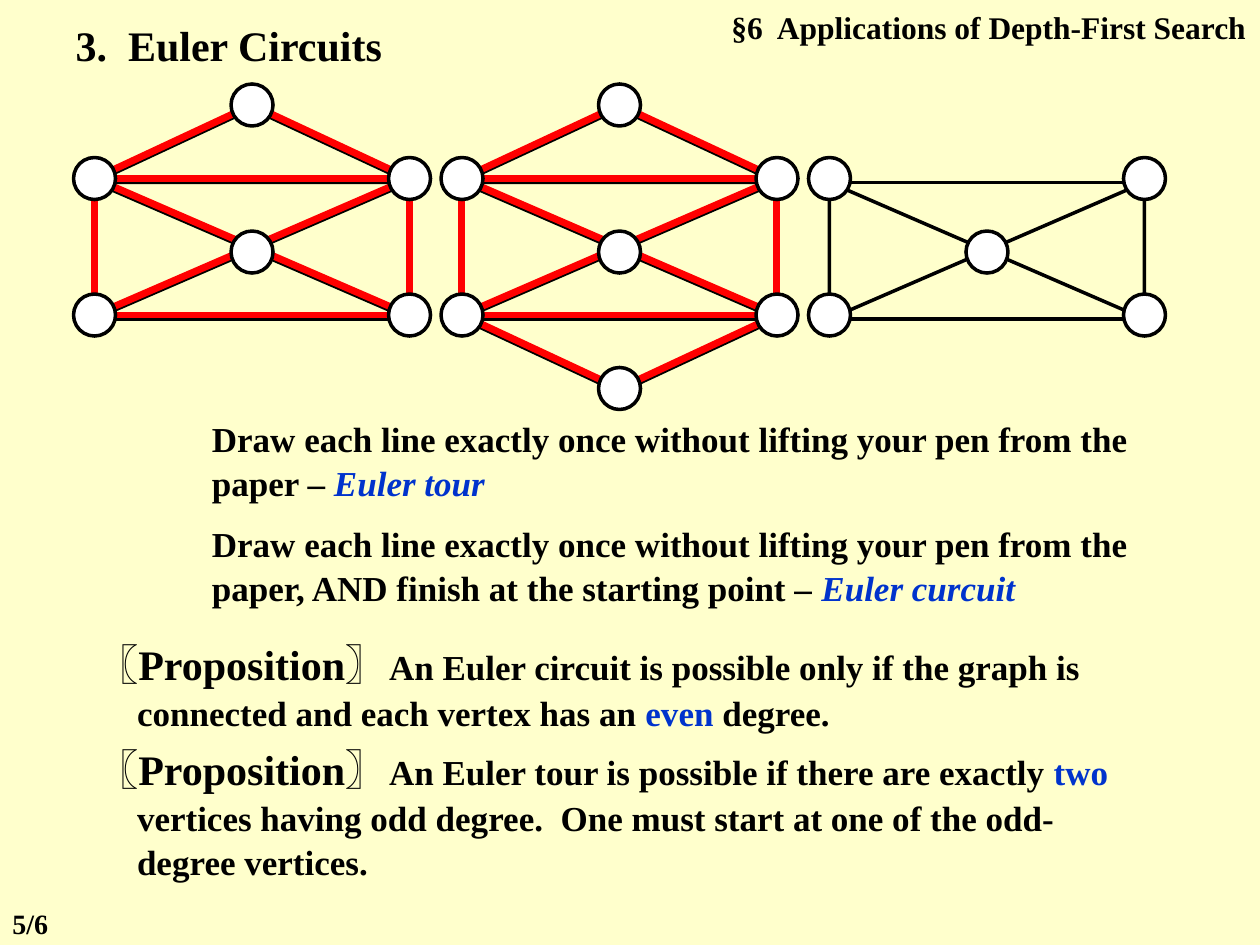
from lxml.etree import SubElement
from pptx import Presentation
from pptx.dml.color import RGBColor
from pptx.enum.shapes import MSO_CONNECTOR, MSO_SHAPE
from pptx.enum.text import MSO_ANCHOR, MSO_AUTO_SIZE, PP_ALIGN
from pptx.oxml.ns import qn
from pptx.util import Pt

SCALE = 9525
FONT = "Times New Roman"
COLORS = {"paper": "FFFFCC", "ink": "000000", "key": "0033CC",
          "tour": "FF0000", "node": "FFFFFF"}

SPAN, STEP, FIRST = 240, 280, 72
NODE = 32
EDGE_TOP, EDGE_HIGH, PEAK = 139, 104, 56
SPOTS = {"t": (120, 80), "a": (0, 136), "b": (SPAN, 136), "m": (120, 192),
         "c": (0, 240), "d": (SPAN, 240), "l": (120, 296)}
GRAPHS = [("tabmcd", "catbadcbd"), ("tabmcdl", "tacldbcdabt"), ("abmcd", "")]

DRAW = "Draw each line exactly once without lifting your pen from the paper"
NOTES = [
    (312, [(DRAW + " – ", 20, "ink"), ("Euler tour", 20, "key", True)]),
    (392, [(DRAW + ", AND finish at the starting point – ", 20, "ink"),
           ("Euler curcuit", 20, "key", True)]),
]
RULES = [
    (480, 80, [
        ("An Euler circuit is possible only if the graph is connected "
         "and each vertex has an ", 20, "ink"),
        ("even", 20, "key"), (" degree.", 20, "ink")]),
    (560, 112, [
        ("An Euler tour is possible if there are exactly ", 20, "ink"),
        ("two", 20, "key"),
        (" vertices having odd degree.  One must start at one of "
         "the odd-degree vertices.", 20, "ink")]),
]


def px(*vals):
    return [val * SCALE for val in vals]


def color(name):
    return RGBColor.from_string(COLORS[name])


def add_run(para, text, size, tone, slant=False):
    run = para.add_run()
    run.text = text
    font = run.font
    font.name, font.size = FONT, Pt(size)
    font.bold, font.italic = True, slant
    font.color.rgb = color(tone)


def fill_text(shape, runs, align=PP_ALIGN.LEFT):
    frame = shape.text_frame
    frame.word_wrap = True
    frame.auto_size = MSO_AUTO_SIZE.NONE
    frame.vertical_anchor = MSO_ANCHOR.TOP
    para = frame.paragraphs[0]
    para.alignment = align
    para.line_spacing = 1.05
    for run in runs:
        add_run(para, *run)
    return para


def add_text(slide, box, runs, align=PP_ALIGN.LEFT):
    return fill_text(slide.shapes.add_textbox(*px(*box)), runs, align)


def add_title(slide, box, runs):
    title = slide.shapes.title
    title.left, title.top, title.width, title.height = px(*box)
    fill_text(title, runs)


def add_rule(slide, top, high, runs):
    head = ("〖Proposition〗\t", 24, "ink")
    para = add_text(slide, (64, top, 824, high), [head] + runs)
    props = para._p.get_or_add_pPr()
    indent, stop = px(31, 259)
    props.set("marL", str(indent))
    props.set("indent", str(-indent))
    tabs = SubElement(props, qn("a:tabLst"))
    SubElement(tabs, qn("a:tab"), pos=str(stop), algn="l")


def add_form(slide, kind, box, fill=None):
    shape = slide.shapes.add_shape(kind, *px(*box))
    shape.shadow.inherit = False
    shape.line.color.rgb = color("ink")
    shape.line.width = Pt(2)
    if fill:
        shape.fill.solid()
        shape.fill.fore_color.rgb = color(fill)
    else:
        shape.fill.background()
    return shape


def add_edges(slide, left, nodes):
    core = (left, EDGE_TOP, SPAN, EDGE_HIGH)
    add_form(slide, MSO_SHAPE.RECTANGLE, core)
    add_form(slide, MSO_SHAPE.RIGHT_TRIANGLE, core)
    flip = add_form(slide, MSO_SHAPE.RIGHT_TRIANGLE, core)
    flip._element.spPr.xfrm.set("flipH", "1")
    peak = MSO_SHAPE.ISOSCELES_TRIANGLE
    if "t" in nodes:
        add_form(slide, peak, (left, EDGE_TOP - PEAK, SPAN, PEAK))
    if "l" in nodes:
        low = add_form(slide, peak, (left, EDGE_TOP + EDGE_HIGH, SPAN, PEAK))
        low.rotation = 180


def add_tour(slide, left, route):
    for start, end in zip(route, route[1:]):
        (x1, y1), (x2, y2) = SPOTS[start], SPOTS[end]
        line = slide.shapes.add_connector(
            MSO_CONNECTOR.STRAIGHT, *px(left + x1, y1, left + x2, y2))
        line.line.color.rgb = color("tour")
        line.line.width = Pt(4)
        SubElement(line._element.spPr, qn("a:effectLst"))


def add_nodes(slide, left, nodes):
    for node in nodes:
        x, y = SPOTS[node]
        box = (left + x - NODE // 2, y - NODE // 2, NODE, NODE)
        add_form(slide, MSO_SHAPE.OVAL, box, "node")


def add_graph(slide, left, nodes, route):
    add_edges(slide, left, nodes)
    add_tour(slide, left, route)
    add_nodes(slide, left, nodes)


def main():
    deck = Presentation()
    deck.slide_width, deck.slide_height = px(960, 720)
    slide = deck.slides.add_slide(deck.slide_layouts[5])
    back = slide.background.fill
    back.solid()
    back.fore_color.rgb = color("paper")

    add_text(slide, (512, 0, 447, 38),
             [("§6  Applications of Depth-First Search", 18, "ink")],
             PP_ALIGN.RIGHT)
    add_title(slide, (48, 8, 304, 48), [("3.  Euler Circuits", 24, "ink")])
    for index, (nodes, route) in enumerate(GRAPHS):
        add_graph(slide, FIRST + index * STEP, nodes, route)
    for top, runs in NOTES:
        add_text(slide, (152, top, 728, 74), runs)
    for top, high, runs in RULES:
        add_rule(slide, top, high, runs)
    add_text(slide, (0, 685, 72, 35), [("5/6", 16, "ink")])
    deck.save("out.pptx")


if __name__ == "__main__":
    main()
